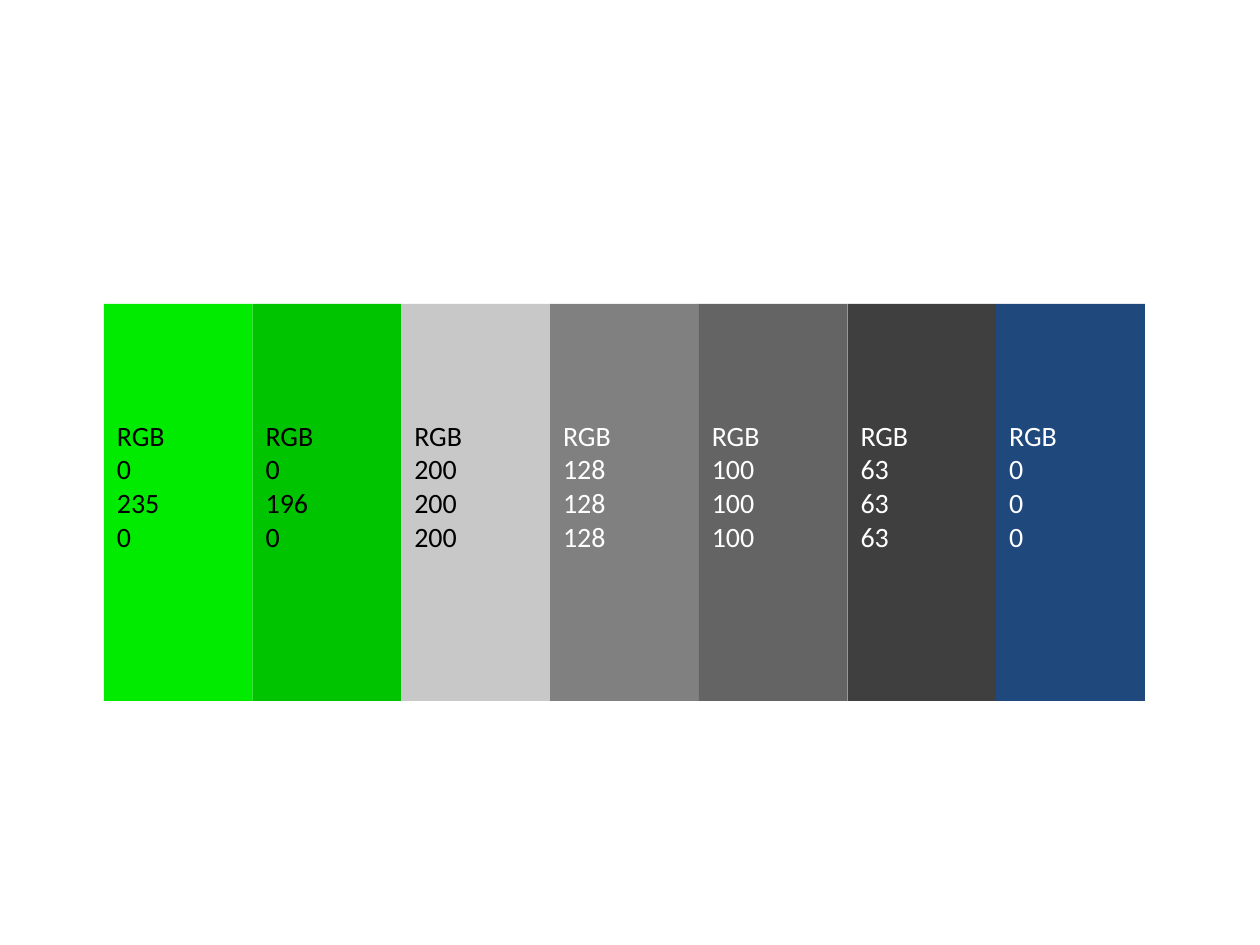
from dataclasses import dataclass

from pptx import Presentation
from pptx.dml.color import RGBColor
from pptx.enum.shapes import MSO_SHAPE
from pptx.enum.text import MSO_ANCHOR, PP_ALIGN
from pptx.util import Emu, Pt

# Content: label values, swatch fill, text tone
SWATCHES = [
    ((0, 235, 0), "00EB00", "dark"),
    ((0, 196, 0), "00C400", "dark"),
    ((200, 200, 200), "C8C8C8", "dark"),
    ((128, 128, 128), "808080", "light"),
    ((100, 100, 100), "646464", "light"),
    ((63, 63, 63), "3F3F3F", "light"),
    ((0, 0, 0), "1F497D", "light"),
]


@dataclass(frozen=True)
class Theme:
    font: str = "Calibri"
    size: int = 16
    dark: str = "000000"
    light: str = "FFFFFF"


THEME = Theme()

# Layout in px, 126 to the inch
SCALE = 914400 / 126
SLIDE_W, SLIDE_H = 1260, 945
BAND_LEFT, BAND_TOP, BAND_W, BAND_H = 104, 304, 1041, 397
INSET_X, INSET_TOP, INSET_BOTTOM = 13, 6, 40


def px(length):
    return Emu(round(length * SCALE))


def write_text(frame, paragraphs, *, color, size=THEME.size, font=THEME.font):
    frame.word_wrap = True
    frame.vertical_anchor = MSO_ANCHOR.MIDDLE
    frame.margin_left = frame.margin_right = px(INSET_X)
    frame.margin_top, frame.margin_bottom = px(INSET_TOP), px(INSET_BOTTOM)
    frame.text = "\n".join(paragraphs)
    for paragraph in frame.paragraphs:
        paragraph.alignment = PP_ALIGN.LEFT
        for run in paragraph.runs:
            run.font.name = font
            run.font.size = Pt(size)
            run.font.color.rgb = RGBColor.from_string(color)


def add_swatch(slide, left, width, values, fill, tone):
    swatch = slide.shapes.add_shape(
        MSO_SHAPE.RECTANGLE, px(left), px(BAND_TOP), px(width), px(BAND_H))
    swatch.shadow.inherit = False
    swatch.fill.solid()
    swatch.fill.fore_color.rgb = RGBColor.from_string(fill)
    swatch.line.fill.background()
    # A vertical tab is a line break within the paragraph
    write_text(swatch.text_frame, ["RGB", "\v".join(map(str, values))],
               color=getattr(THEME, tone))


def main():
    deck = Presentation()
    deck.slide_width, deck.slide_height = px(SLIDE_W), px(SLIDE_H)
    slide = deck.slides.add_slide(deck.slide_layouts[6])

    # Equal columns across the band
    column_w = BAND_W / len(SWATCHES)
    for column, swatch in enumerate(SWATCHES):
        add_swatch(slide, BAND_LEFT + column * column_w, column_w, *swatch)

    deck.save("out.pptx")


if __name__ == "__main__":
    main()
